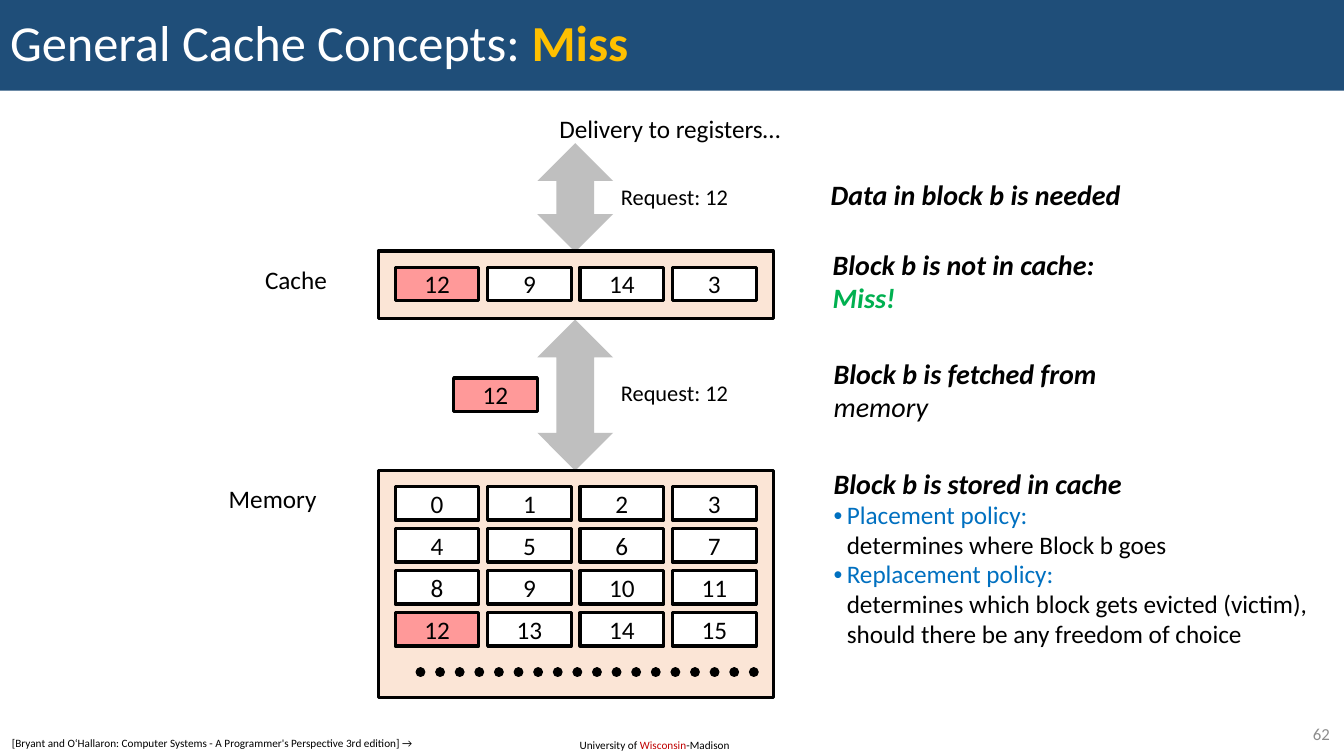
"""Build the slide that explains a cache miss."""
from dataclasses import dataclass, field

from lxml import etree
from pptx import Presentation
from pptx import util as u
from pptx.dml.color import RGBColor
from pptx.enum import dml, shapes, text
from pptx.oxml import ns

COLORS = {
    "ink": "000000", "white": "FFFFFF", "banner": "1F4E79", "gold": "FFC000",
    "arrow": "BFBFBF", "panel": "FBE5D6", "wanted": "FF9999", "green": "00B050",
    "blue": "0070C0", "red": "C00000", "number": "8C8C8C",
}
FONT = "Calibri"
COLUMNS = 4
BLOCK_LEFT = 3.92
COLUMN_STEP = 2.75 / 3
ROW_STEP = 1.25 / 3
BLOCK_SIZE = (0.83, 0.33)
LEFT, CENTER, RIGHT = text.PP_ALIGN.LEFT, text.PP_ALIGN.CENTER, text.PP_ALIGN.RIGHT
TOP, MIDDLE = text.MSO_ANCHOR.TOP, text.MSO_ANCHOR.MIDDLE


@dataclass
class Span:
    """A stretch of text in one format."""
    words: str
    size: float = 18
    color: str = "ink"
    bold: bool = False
    italic: bool = False


@dataclass
class Para:
    """A paragraph made of spans."""
    spans: list[Span]
    align: int = LEFT
    spacing: float = 1.0
    bullet: bool = False


@dataclass
class Label:
    """A text box with its place and paragraphs."""
    place: tuple[float, float, float, float]
    paras: list[Para]
    anchor: int = TOP
    wrap: bool = False
    fit: bool = True


@dataclass
class Figure:
    """A preset shape with its place, colours and optional caption."""
    place: tuple[float, float, float, float]
    fill: str
    kind: int = shapes.MSO_SHAPE.RECTANGLE
    outlined: bool = True
    paras: list[Para] = field(default_factory=list)


def color(name: str) -> RGBColor:
    """Return the named colour."""
    return RGBColor.from_string(COLORS[name])


def plain(words: str, size: float = 18, align: int = LEFT) -> list[Para]:
    """Return one paragraph of plain text."""
    return [Para([Span(words, size)], align)]


def heading(words: str, tint: str = "ink", bold: bool = True) -> Para:
    """Return an italic line of the explanation."""
    return Para([Span(words, 20, tint, bold, True)], spacing=0.98)


def policy(name: str, meaning: str) -> Para:
    """Return a bulleted policy with its meaning below the name."""
    return Para([Span(name + "\n", color="blue"), Span(meaning)], spacing=0.98, bullet=True)


def write(frame, paras: list[Para], **layout) -> None:
    """Fill a text frame with paragraphs."""
    for name, value in layout.items():
        setattr(frame, name, value)
    for index, item in enumerate(paras):
        para = frame.add_paragraph() if index else frame.paragraphs[0]
        para.alignment, para.line_spacing = item.align, item.spacing
        if item.bullet:
            props = para._p.get_or_add_pPr()
            props.set("marL", str(u.Inches(0.13)))
            props.set("indent", str(u.Inches(-0.13)))
            etree.SubElement(props, ns.qn("a:buFont")).set("typeface", "Arial")
            etree.SubElement(props, ns.qn("a:buChar")).set("char", "•")
        for span in item.spans:
            for number, line in enumerate(span.words.split("\n")):
                if number:
                    para.add_line_break()
                if line:
                    run = para.add_run()
                    run.text = line
                    values = {"name": FONT, "size": u.Pt(span.size),
                              "bold": span.bold, "italic": span.italic}
                    for name, value in values.items():
                        setattr(run.font, name, value)
                    run.font.color.rgb = color(span.color)


def draw_figure(page, figure: Figure) -> None:
    """Draw a preset shape."""
    box = page.shapes.add_shape(figure.kind, *map(u.Inches, figure.place))
    box.shadow.inherit = False
    box.fill.solid()
    box.fill.fore_color.rgb = color(figure.fill)
    if figure.outlined:
        box.line.color.rgb = color("ink")
        box.line.width = u.Pt(2.25)
    else:
        box.line.fill.background()
    if figure.paras:
        write(box.text_frame, figure.paras, vertical_anchor=MIDDLE)


def draw_block(page, number: int, left: float, top: float) -> None:
    """Draw a numbered block, tinted when it is the wanted one."""
    fill = "wanted" if number == 12 else "white"
    draw_figure(page, Figure((left, top, *BLOCK_SIZE), fill,
                             paras=plain(str(number), align=CENTER)))


def draw_blocks(page, numbers: list[int], top: float) -> None:
    """Draw blocks in rows of four."""
    for index, number in enumerate(numbers):
        row, column = divmod(index, COLUMNS)
        draw_block(page, number, BLOCK_LEFT + column * COLUMN_STEP, top + row * ROW_STEP)


def draw_dots(page) -> None:
    """Draw the dotted line for the remaining memory."""
    ends = map(u.Inches, (4.17, 6.67, 7.5, 6.67))
    dots = page.shapes.add_connector(shapes.MSO_CONNECTOR.STRAIGHT, *ends)
    dots.line.color.rgb = color("ink")
    dots.line.width = u.Pt(7)
    dots.line.dash_style = dml.MSO_LINE.ROUND_DOT
    props = dots._element.spPr
    props.find(ns.qn("a:ln")).set("cap", "rnd")
    etree.SubElement(props, ns.qn("a:effectLst"))


def draw_label(page, label: Label) -> None:
    """Draw a text box."""
    box = page.shapes.add_textbox(*map(u.Inches, label.place))
    size = text.MSO_AUTO_SIZE.SHAPE_TO_FIT_TEXT if label.fit else text.MSO_AUTO_SIZE.NONE
    write(box.text_frame, label.paras, word_wrap=label.wrap, auto_size=size,
          vertical_anchor=label.anchor)


def draw_title(page) -> None:
    """Place and fill the title banner."""
    title = page.shapes.title
    place = {"left": 0, "top": 0, "width": 13.33, "height": 0.9}
    for name, value in place.items():
        setattr(title, name, u.Inches(value))
    title.fill.solid()
    title.fill.fore_color.rgb = color("banner")
    spans = [Span("General Cache Concepts: ", 36, "white"), Span("Miss", 36, "gold", True)]
    write(title.text_frame, [Para(spans, spacing=0.9)], vertical_anchor=MIDDLE,
          word_wrap=True, auto_size=text.MSO_AUTO_SIZE.NONE)


ARROW = shapes.MSO_SHAPE.UP_DOWN_ARROW
FIGURES = [
    Figure((5.33, 1.42, 0.75, 1.08), "arrow", ARROW, False),
    Figure((5.33, 3.17, 0.75, 1.5), "arrow", ARROW, False),
    Figure((3.75, 4.67, 3.92, 2.25), "panel"),
    Figure((3.75, 2.49, 3.92, 0.67), "panel"),
]
LABELS = [
    Label((5.45, 1.08, 2.42, 0.4), plain("Delivery to registers…")),
    Label((2.53, 2.57, 0.82, 0.4), plain("Cache")),
    Label((2.17, 4.75, 1.08, 0.4), plain("Memory")),
    Label((6.04, 1.77, 1.3, 0.37), plain("Request: 12", 16, CENTER)),
    Label((6.04, 3.71, 1.3, 0.37), plain("Request: 12", 16, CENTER)),
    Label((8.14, 1.73, 3.09, 0.43), [heading("Data in block b is needed")], MIDDLE),
    Label((8.16, 2.42, 2.81, 0.76),
          [heading("Block b is not in cache:"), heading("Miss!", "green")], MIDDLE),
    Label((8.17, 3.5, 2.83, 0.76),
          [heading("Block b is fetched from"), heading("memory", bold=False)], MIDDLE),
    Label((8.17, 4.58, 5.01, 1.92),
          [heading("Block b is stored in cache"),
           policy("Placement policy:", "determines where Block b goes"),
           policy("Replacement policy:", "determines which block gets evicted (victim),\n"
                  "should there be any freedom of choice")], MIDDLE),
    Label((12.53, 7.13, 0.76, 0.29), [Para([Span("62", 12, "number")], RIGHT)],
          MIDDLE, True, False),
    Label((5.65, 7.28, 1.72, 0.24),
          [Para([Span("University of ", 8), Span("Wisconsin", 8, "red"),
                 Span("-Madison", 8)])], wrap=True),
    Label((0.02, 7.26, 4.31, 0.24),
          plain("[Bryant and O‘Hallaron: Computer Systems - "
                "A Programmer's Perspective 3rd edition] →", 8), wrap=True),
]


def main() -> None:
    """Build and save the deck."""
    deck = Presentation()
    deck.slide_width, deck.slide_height = u.Inches(13.33), u.Inches(7.5)
    page = deck.slides.add_slide(deck.slide_layouts[5])
    draw_title(page)
    for figure in FIGURES:
        draw_figure(page, figure)
    draw_blocks(page, list(range(16)), 4.83)
    draw_blocks(page, [12, 9, 14, 3], 2.65)
    draw_block(page, 12, 4.5, 3.75)
    draw_dots(page)
    for label in LABELS:
        draw_label(page, label)
    deck.save("out.pptx")


if __name__ == "__main__":
    main()
